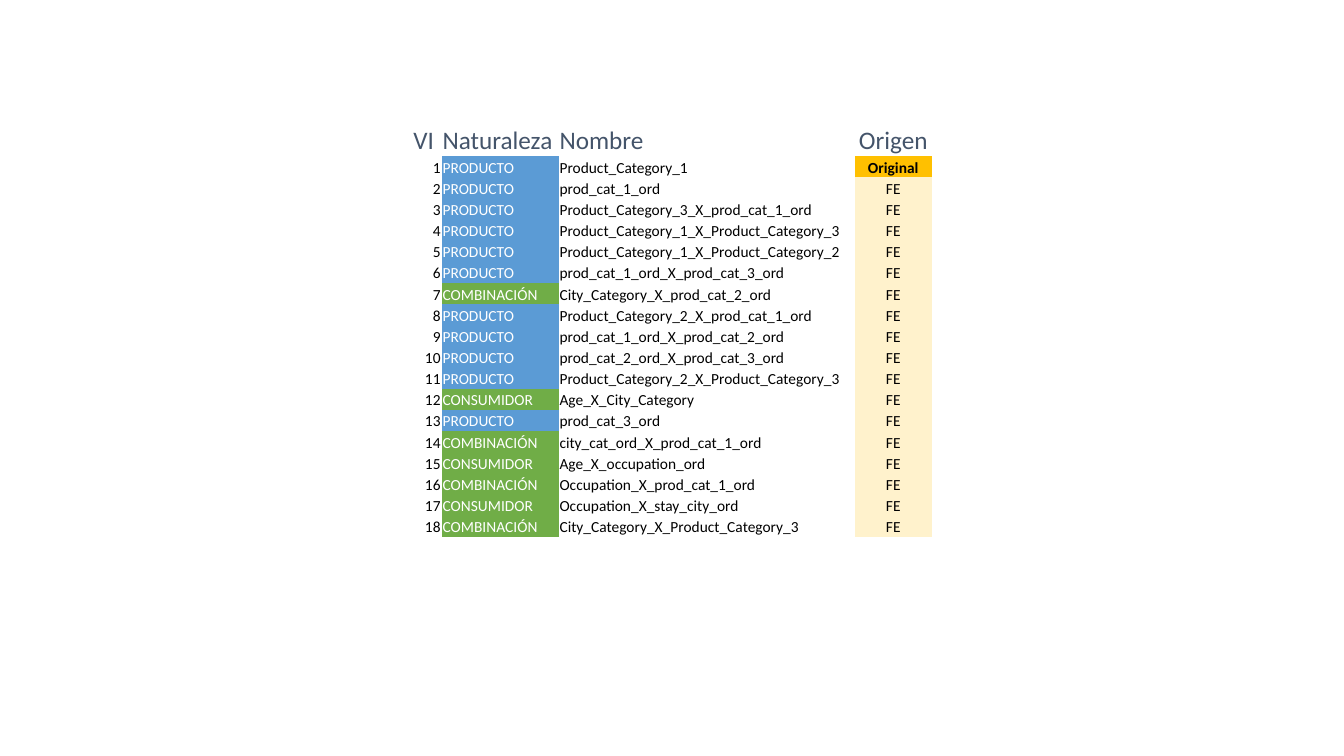
"""Build a slide with a table of ranked variables, their nature and their origin."""
from pptx import Presentation
from pptx.dml.color import RGBColor
from pptx.enum.text import MSO_ANCHOR, PP_ALIGN
from pptx.oxml.ns import qn
from pptx.util import Inches, Pt

LEFT, CENTER, RIGHT = PP_ALIGN.LEFT, PP_ALIGN.CENTER, PP_ALIGN.RIGHT
BOTTOM = MSO_ANCHOR.BOTTOM
NO_STYLE = "{2D5ABB26-0587-4C30-8999-92F81FD0307C}"

THEME = {
    "font": "Calibri", "head_size": 18, "body_size": 11,
    "head": "44546A", "text": "000000", "light": "FFFFFF",
    "product": "5B9BD5", "other": "70AD47",
    "source": "FFC000", "derived": "FFF2CC",
}

HEADERS = ["VI", "Naturaleza", "Nombre", "Origen"]
VARIABLES = [
    ("PRODUCTO", "Product_Category_1"),
    ("PRODUCTO", "prod_cat_1_ord"),
    ("PRODUCTO", "Product_Category_3_X_prod_cat_1_ord"),
    ("PRODUCTO", "Product_Category_1_X_Product_Category_3"),
    ("PRODUCTO", "Product_Category_1_X_Product_Category_2"),
    ("PRODUCTO", "prod_cat_1_ord_X_prod_cat_3_ord"),
    ("COMBINACIÓN", "City_Category_X_prod_cat_2_ord"),
    ("PRODUCTO", "Product_Category_2_X_prod_cat_1_ord"),
    ("PRODUCTO", "prod_cat_1_ord_X_prod_cat_2_ord"),
    ("PRODUCTO", "prod_cat_2_ord_X_prod_cat_3_ord"),
    ("PRODUCTO", "Product_Category_2_X_Product_Category_3"),
    ("CONSUMIDOR", "Age_X_City_Category"),
    ("PRODUCTO", "prod_cat_3_ord"),
    ("COMBINACIÓN", "city_cat_ord_X_prod_cat_1_ord"),
    ("CONSUMIDOR", "Age_X_occupation_ord"),
    ("COMBINACIÓN", "Occupation_X_prod_cat_1_ord"),
    ("CONSUMIDOR", "Occupation_X_stay_city_ord"),
    ("COMBINACIÓN", "City_Category_X_Product_Category_3"),
]
COLS = [0.29, 1.16, 2.94, 0.76]
ROWS = [0.32] + [0.21] * len(VARIABLES)


def write_cell(cell, text, size, color, align=LEFT, fill=None, bold=False):
    cell.margin_left = cell.margin_right = cell.margin_top = Inches(0.01)
    cell.margin_bottom = 0
    cell.vertical_anchor = BOTTOM
    if fill:
        cell.fill.solid()
        cell.fill.fore_color.rgb = RGBColor.from_string(THEME[fill])
    else:
        cell.fill.background()
    p = cell.text_frame.paragraphs[0]
    p.alignment = align
    r = p.add_run()
    r.text = text
    r.font.name = THEME["font"]
    r.font.size = Pt(THEME[size])
    r.font.bold = bold
    r.font.color.rgb = RGBColor.from_string(THEME[color])


prs = Presentation()
prs.slide_width, prs.slide_height = Inches(13.33), Inches(7.5)
s = prs.slides.add_slide(prs.slide_layouts[6])

frame = s.shapes.add_table(len(ROWS), len(COLS), Inches(4.09), Inches(1.23),
                           Inches(sum(COLS)), Inches(sum(ROWS)))
table = frame.table
table.first_row = table.horz_banding = False
next(frame._element.iter(qn("a:tableStyleId"))).text = NO_STYLE
for column, width in zip(table.columns, COLS):
    column.width = Inches(width)
for row, height in zip(table.rows, ROWS):
    row.height = Inches(height)

for c, header in enumerate(HEADERS):
    write_cell(table.cell(0, c), header, "head_size", "head",
               CENTER if header == "Origen" else LEFT)

for rank, (nature, name) in enumerate(VARIABLES, 1):
    first = rank == 1
    cells = table.rows[rank].cells
    write_cell(cells[0], str(rank), "body_size", "text", RIGHT)
    write_cell(cells[1], nature, "body_size", "light",
               fill="product" if nature == "PRODUCTO" else "other")
    write_cell(cells[2], name, "body_size", "text")
    write_cell(cells[3], "Original" if first else "FE", "body_size", "text", CENTER,
               fill="source" if first else "derived", bold=first)

prs.save("out.pptx")
